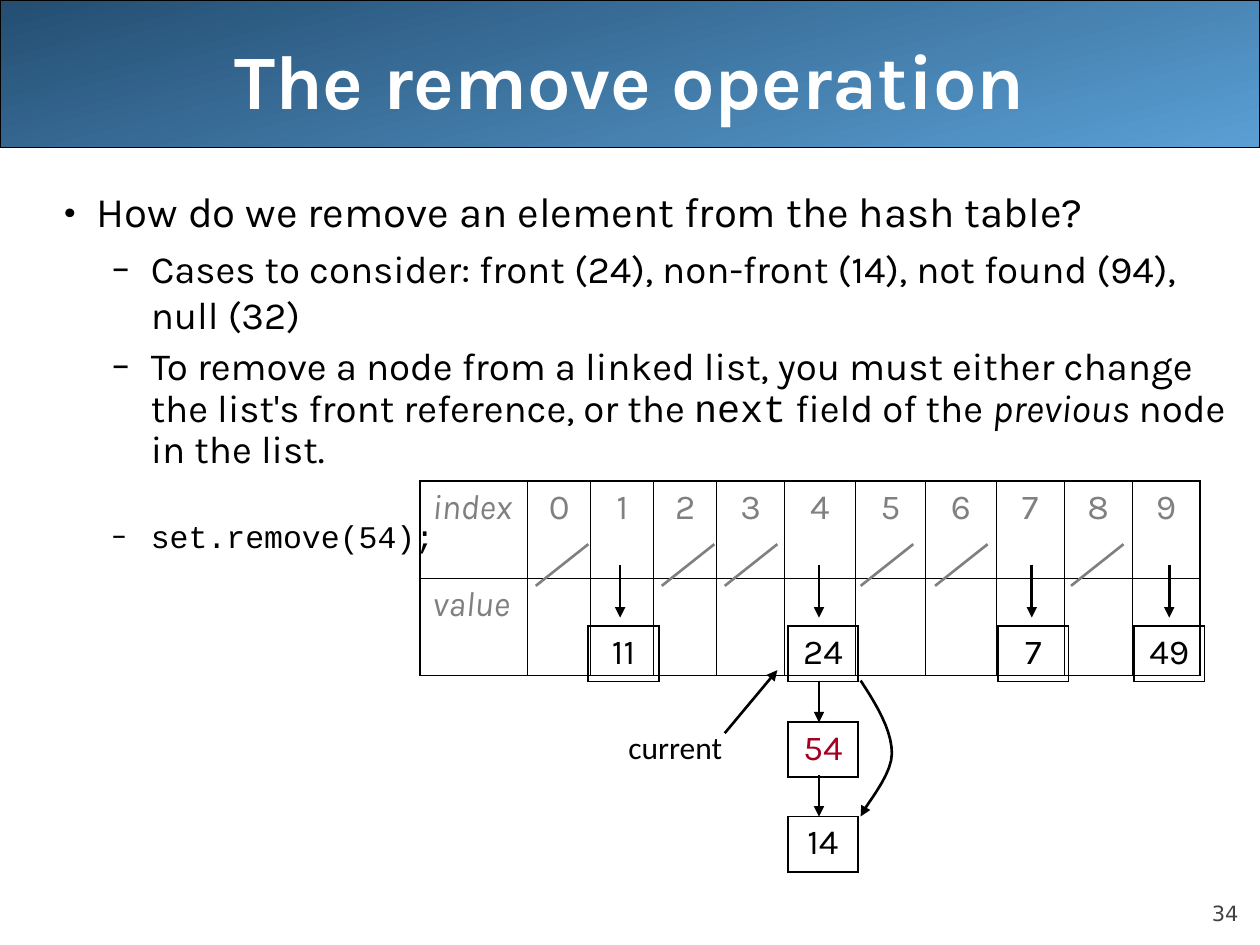
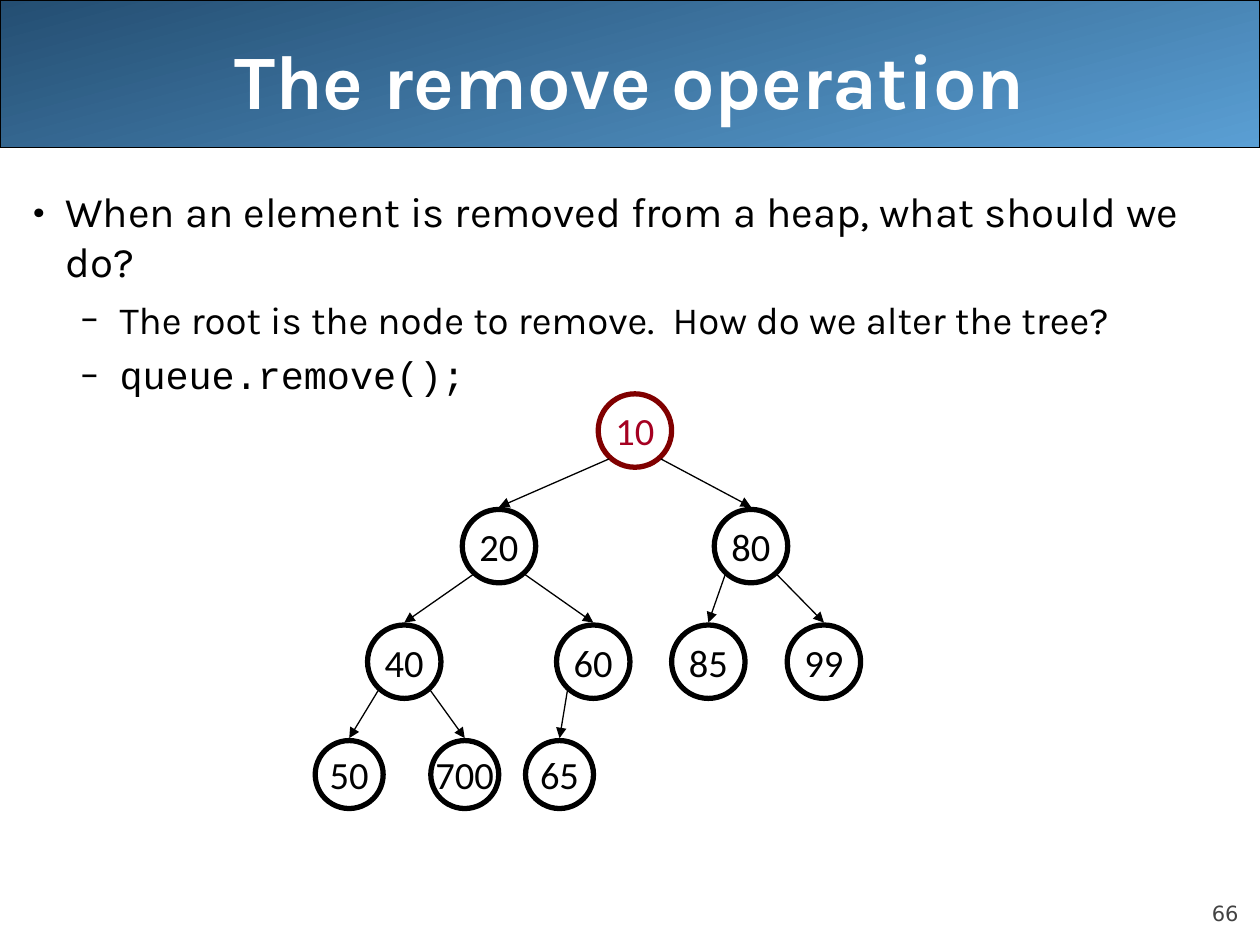
import math
from lxml import etree
from pptx import Presentation
from pptx import util as u
from pptx.dml import color
from pptx.enum import shapes, text
from pptx.oxml import ns, xmlchemy

Cm, Pt = u.Cm, u.Pt
rgb = color.RGBColor.from_string
BLACK, GREY, RED = "000000", "808080", "A50021"
CENTER, RIGHT = text.PP_ALIGN.CENTER, text.PP_ALIGN.RIGHT
CODE = {"name": "Courier New"}


def write(p, runs, hue=BLACK, para=None, **font):
    """Fill paragraph p with (text, font changes) runs."""
    for key, value in (para or {}).items():
        setattr(p, key, value)
    for words, changes in runs:
        r = p.add_run()
        r.text = words
        r.font.color.rgb = rgb(hue)
        for key, value in {**font, **changes}.items():
            setattr(r.font, key, value)


def line(s, x1, y1, x2, y2, hue=BLACK, width=1.5, arrow=True):
    """Draw a straight line in cm, with an arrowhead at its end if wanted."""
    c = s.shapes.add_connector(shapes.MSO_CONNECTOR.STRAIGHT,
                               Cm(x1), Cm(y1), Cm(x2), Cm(y2))
    c.line.color.rgb = rgb(hue)
    c.line.width = Pt(width)
    if arrow:
        etree.SubElement(c.line._get_or_add_ln(), ns.qn("a:tailEnd"), type="triangle")
    etree.SubElement(c._element.spPr, ns.qn("a:effectLst"))


prs = Presentation()
prs.slide_width, prs.slide_height = Cm(25.4), Cm(19.05)

# Body text: (indent level, size, line spacing, space before, runs)
TITLE = "The remove operation"
pages = [
    (34, 1.27, [
        (0, 24, 1, 0, [("How do we remove an element from the hash table?", {})]),
        (1, 22, 1, 5.5, [("Cases to consider: front (24), non-front (14), "
                          "not found (94), null (32)", {})]),
        (1, 22, 0.9, 5.5, [
            ("To remove a node from a linked list, you must either change "
             "the list's front reference, or the ", {}),
            ("next", CODE), (" field of the ", {}),
            ("previous", {"italic": True}), (" node in the list.", {})]),
        (1, 18, 0.9, 28, [("set.remove(54);", CODE)]),
    ]),
    (66, 0.64, [
        (0, 24, 1, 0, [("When an element is removed from a heap, "
                        "what should we do?", {})]),
        (1, 22, 1, 5.5, [("The root is the node to remove.  "
                          "How do we alter the tree?", {})]),
        (1, 22, 1, 5.5, [("queue.remove();", CODE)]),
    ]),
]

for number, indent, body in pages:
    s = prs.slides.add_slide(prs.slide_layouts[6])

    # Title band
    sp = s.shapes.add_shape(shapes.MSO_SHAPE.ROUNDED_RECTANGLE, 0, 0, Cm(25.4), Cm(2.97))
    sp.adjustments[0] = 0
    sp.shadow.inherit = False
    sp.fill.gradient()
    sp.fill.gradient_angle = 285
    for stop, hue in zip(sp.fill.gradient_stops, ("244E72", "5A9FD4")):
        stop.color.rgb = rgb(hue)
    sp.line.color.rgb = rgb(BLACK)
    sp.line.width = Pt(0.75)

    # Slide number
    tf = s.shapes.add_textbox(Cm(22.86), Cm(17.65), Cm(2.11), Cm(1.02)).text_frame
    tf.margin_left = tf.margin_right = tf.margin_top = tf.margin_bottom = 0
    tf.vertical_anchor = text.MSO_ANCHOR.BOTTOM
    write(tf.paragraphs[0], [(str(number), {})], "424242", {"alignment": RIGHT},
          name="DejaVu Sans", size=Pt(12))

    # Title
    tf = s.shapes.add_textbox(Cm(1.27), 0, Cm(22.86), Cm(3.18)).text_frame
    tf.word_wrap = True
    tf.vertical_anchor = text.MSO_ANCHOR.MIDDLE
    write(tf.paragraphs[0], [(TITLE, {})], "FFFFFF", {"alignment": CENTER},
          name="Karla", size=Pt(44), bold=True)

    # Bulleted body
    tf = s.shapes.add_textbox(Cm(0.43), Cm(3.61), Cm(24.97), Cm(14.4)).text_frame
    tf.word_wrap = True
    for i, (level, size, spacing, before, runs) in enumerate(body):
        p = tf.add_paragraph() if i else tf.paragraphs[0]
        pPr = p._p.get_or_add_pPr()
        pPr.set("marL", str(Cm(indent + 1.09 * level)))
        pPr.set("indent", str(-Cm((0.64, 0.79)[level])))
        clr = etree.SubElement(pPr, ns.qn("a:buClr"))
        etree.SubElement(clr, ns.qn("a:srgbClr"), val=BLACK)
        etree.SubElement(pPr, ns.qn("a:buFont"), typeface="Karla")
        etree.SubElement(pPr, ns.qn("a:buChar"), char="•–"[level])
        write(p, runs, para={"level": level, "line_spacing": spacing,
                             "space_before": Pt(before)},
              name="Karla", size=Pt(size))

hash_slide, heap_slide = prs.slides

# Hash table and its nodes: (left, top, column widths, row height, rows, colour)
s = hash_slide
columns = [2.18] + [1.27] * 3 + [1.37] + [1.42] * 3 + [1.37] * 3
index_row = ["index"] + [str(i) for i in range(10)]
value_row = ["value"] + [""] * 10
tables = [(8.46, 9.7, columns, 1.96, [index_row, value_row], GREY)]
for label, left, top, hue in [("54", 15.88, 14.55, RED), ("14", 15.88, 16.46, BLACK),
                              ("24", 15.88, 12.62, BLACK), ("11", 11.86, 12.62, BLACK),
                              ("7", 20.12, 12.62, BLACK), ("49", 22.86, 12.62, BLACK)]:
    tables.append((left, top, [1.42], 1.12, [[label]], hue))

for left, top, widths, height, rows, hue in tables:
    last_row, last_col = len(rows) - 1, len(widths) - 1
    t = s.shapes.add_table(len(rows), len(widths), Cm(left), Cm(top),
                           Cm(sum(widths)), Cm(height * len(rows))).table
    t.first_row = t.horz_banding = False
    for col, width in zip(t.columns, widths):
        col.width = Cm(width)
    for i, row in enumerate(rows):
        t.rows[i].height = Cm(height)
        for j, label in enumerate(row):
            cell = t.cell(i, j)
            tcPr = cell._tc.get_or_add_tcPr()
            for side, outer in (("L", j == 0), ("R", j == last_col),
                                ("T", i == 0), ("B", i == last_row)):
                ln = etree.SubElement(tcPr, ns.qn("a:ln" + side),
                                      w=str(Pt(1.08 if outer else 0.45)))
                fill = etree.SubElement(ln, ns.qn("a:solidFill"))
                etree.SubElement(fill, ns.qn("a:srgbClr"), val=BLACK)
            cell.fill.background()
            if label:
                is_head = label in ("index", "value")
                write(cell.text_frame.paragraphs[0], [(label, {})], hue,
                      {} if is_head else {"alignment": CENTER},
                      name="Karla", size=Pt(20), italic=is_head)

# Bucket arrows, chain arrows and slashes for empty buckets
for x in (12.5, 16.51, 20.8, 23.57):
    line(s, x, 11.38, x, 12.45)
for y in (13.72, 15.62):
    line(s, 16.51, y, 16.51, y + 0.84)
for x in (10.8, 13.34, 14.61, 17.35, 18.85, 21.59):
    line(s, x + 1.06, 10.97, x, 11.81, GREY, arrow=False)

# Current pointer
tf = s.shapes.add_textbox(Cm(12.4), Cm(14.55), Cm(2.41), Cm(1.02)).text_frame
tf.word_wrap = False
write(tf.paragraphs[0], [("current", {})], para={"alignment": RIGHT},
      name="Calibri", size=Pt(18))
line(s, 14.61, 14.78, 15.67, 13.51)

# Curved link from 24 past 54 to 14, sampled along two Bézier curves
curves = [((17.35, 13.72), (17.68, 14.22), (17.98, 14.73), (17.98, 15.19)),
          ((17.98, 15.19), (17.98, 15.65), (17.42, 16.26), (17.35, 16.46))]
points = []
for a, b, c, d in curves:
    for k in range(1, 11):
        f = k / 10
        g = 1 - f
        points.append([Cm(g**3 * a[n] + 3 * g * g * f * b[n] + 3 * g * f * f * c[n]
                          + f**3 * d[n]) for n in (0, 1)])
builder = s.shapes.build_freeform(Cm(17.35), Cm(13.72))
builder.add_line_segments(points, close=False)
sp = builder.convert_to_shape()
sp.shadow.inherit = False
sp.fill.background()
sp.line.color.rgb = rgb(BLACK)
sp.line.width = Pt(1.5)
etree.SubElement(sp.line._get_or_add_ln(), ns.qn("a:tailEnd"), type="triangle")

# Heap in array order: (value, centre x); the parent of i is (i - 1) // 2
s = heap_slide
heap = [(10, 12.8), (20, 10.06), (80, 15.14), (40, 8.15), (60, 11.96),
        (85, 14.28), (99, 16.61), (50, 7.04), (700, 9.37), (65, 11.28)]
for i, (value, x) in enumerate(heap):
    level = int(math.log2(i + 1))
    top = 7.94 + 2.33 * level
    size = 1.37 if level == 3 else 1.48
    sp = s.shapes.add_shape(shapes.MSO_SHAPE.OVAL, Cm(x - size / 2), Cm(top),
                            Cm(size), Cm(size))
    sp.shadow.inherit = False
    sp.fill.background()
    sp.line.color.rgb = rgb(BLACK if i else "800000")
    sp.line.width = Pt(3)
    tf = sp.text_frame
    tf.word_wrap = False
    tf.vertical_anchor = text.MSO_ANCHOR.MIDDLE
    write(tf.paragraphs[0], [(str(value), {})], BLACK if i else RED,
          {"alignment": CENTER}, name="Calibri", size=Pt(22))
    if i:
        side = -0.52 if i % 2 else 0.52
        line(s, heap[(i - 1) // 2][1] + side, top - 1.02, x, top - 0.05, width=0.75)

prs.save("out.pptx")
